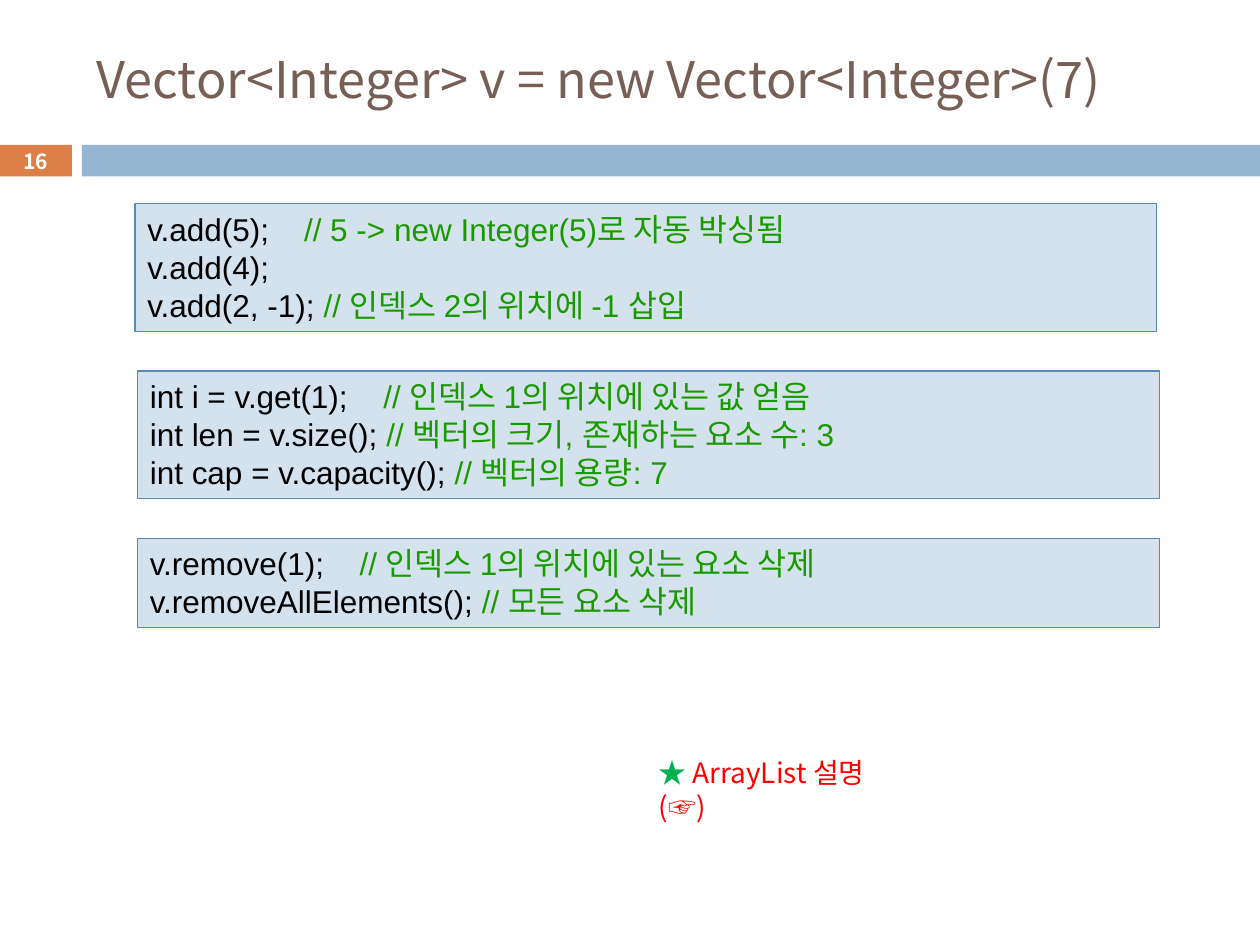
from dataclasses import dataclass

from lxml.etree import SubElement
from pptx import Presentation
from pptx.dml.color import RGBColor
from pptx.enum.shapes import MSO_SHAPE
from pptx.enum.text import MSO_ANCHOR, PP_ALIGN
from pptx.oxml.ns import qn
from pptx.shapes.autoshape import Shape
from pptx.slide import Slide
from pptx.text.text import _Paragraph as Paragraph
from pptx.util import Cm, Pt


@dataclass(frozen=True)
class Theme:
    body_font: str = "Noto Sans CJK KR"
    code_font: str = "Arial"
    title_color: str = "775F55"
    number_fill: str = "DD8047"
    bar_fill: str = "94B6D2"
    box_fill: str = "D4E2ED"
    box_line: str = "558BB8"
    code_color: str = "000000"
    comment_color: str = "1A9A00"
    star_color: str = "00B050"
    note_color: str = "FF0000"
    white: str = "FFFFFF"
    title_size: float = 28.8
    number_size: float = 11.9
    code_size: float = 18
    note_size: float = 16


@dataclass(frozen=True)
class Box:
    left: float
    top: float
    width: float
    height: float

    def lengths(self) -> tuple[Cm, Cm, Cm, Cm]:
        return Cm(self.left), Cm(self.top), Cm(self.width), Cm(self.height)


@dataclass(frozen=True)
class CodeLine:
    code: str
    comment: str = ""


@dataclass(frozen=True)
class CodeBlock:
    left: float
    tab: float
    lines: tuple[CodeLine, ...]


THEME = Theme()
NUMBER_BOX = Box(-0.02, 2.92, 1.47, 0.64)
BAR_BOX = Box(1.65, 2.92, 23.75, 0.64)
TITLE_BOX = Box(1.7, 0.64, 22.66, 1.88)
NOTE_BOX = Box(13.03, 15.11, 5.74, 0.94)
BLOCK_TOP, BLOCK_WIDTH, BLOCK_GAP = 4.11, 20.6, 0.8
LINE_HEIGHT, BLOCK_PADDING = 0.77, 0.26

BLOCKS = (
    CodeBlock(2.72, 3.16, (
        CodeLine("v.add(5);\t", "// 5 -> new Integer(5)로 자동 박싱됨"),
        CodeLine("v.add(4);"),
        CodeLine("v.add(2, -1); ", "// 인덱스 2의 위치에 -1 삽입"),
    )),
    CodeBlock(2.77, 4.71, (
        CodeLine("int i = v.get(1);\t", "// 인덱스 1의 위치에 있는 값 얻음"),
        CodeLine("int len = v.size(); ", "// 벡터의 크기, 존재하는 요소 수: 3"),
        CodeLine("int cap = v.capacity(); ", "// 벡터의 용량: 7"),
    )),
    CodeBlock(2.77, 4.23, (
        CodeLine("v.remove(1);\t", "// 인덱스 1의 위치에 있는 요소 삭제"),
        CodeLine("v.removeAllElements(); ", "// 모든 요소 삭제"),
    )),
)


def add_run(paragraph: Paragraph, text: str, size: float, color: str,
            font: str = THEME.body_font, bold: bool = False) -> None:
    run = paragraph.add_run()
    run.text = text
    run.font.size = Pt(size)
    run.font.bold = bold
    run.font.name = font
    run.font.color.rgb = RGBColor.from_string(color)
    SubElement(run.font._element, qn("a:ea"), typeface=THEME.body_font)


def add_rectangle(slide: Slide, box: Box, fill: str, line: str | None = None) -> Shape:
    shape = slide.shapes.add_shape(MSO_SHAPE.RECTANGLE, *box.lengths())
    shape.shadow.inherit = False
    shape.fill.solid()
    shape.fill.fore_color.rgb = RGBColor.from_string(fill)
    if line:
        shape.line.color.rgb = RGBColor.from_string(line)
        shape.line.width = Pt(0.75)
    else:
        shape.line.fill.background()
    return shape


def add_text_box(slide: Slide, box: Box, anchor: MSO_ANCHOR) -> Shape:
    shape = slide.shapes.add_textbox(*box.lengths())
    shape.text_frame.word_wrap = True
    shape.text_frame.vertical_anchor = anchor
    return shape


def add_tab_stop(paragraph: Paragraph, position: float) -> None:
    properties = paragraph._element.get_or_add_pPr()
    tabs = SubElement(properties, qn("a:tabLst"))
    SubElement(tabs, qn("a:tab"), pos=str(Cm(position)), algn="l")


def add_code_block(slide: Slide, block: CodeBlock, top: float) -> float:
    height = LINE_HEIGHT * len(block.lines) + BLOCK_PADDING
    shape = add_rectangle(slide, Box(block.left, top, BLOCK_WIDTH, height),
                          THEME.box_fill, THEME.box_line)
    frame = shape.text_frame
    frame.word_wrap = True
    frame.vertical_anchor = MSO_ANCHOR.TOP
    for index, line in enumerate(block.lines):
        paragraph = frame.add_paragraph() if index else frame.paragraphs[0]
        paragraph.alignment = PP_ALIGN.LEFT
        if "\t" in line.code:
            add_tab_stop(paragraph, block.tab)
        add_run(paragraph, line.code, THEME.code_size, THEME.code_color, THEME.code_font)
        if line.comment:
            add_run(paragraph, line.comment, THEME.code_size, THEME.comment_color,
                    THEME.code_font)
    return top + height + BLOCK_GAP


def add_header(slide: Slide) -> None:
    add_rectangle(slide, BAR_BOX, THEME.bar_fill)
    title = add_text_box(slide, TITLE_BOX, MSO_ANCHOR.MIDDLE)
    add_run(title.text_frame.paragraphs[0], "Vector<Integer> v = new Vector<Integer>(7)",
            THEME.title_size, THEME.title_color)
    number = add_rectangle(slide, NUMBER_BOX, THEME.number_fill)
    number.text_frame.vertical_anchor = MSO_ANCHOR.MIDDLE
    paragraph = number.text_frame.paragraphs[0]
    paragraph.alignment = PP_ALIGN.CENTER
    add_run(paragraph, "16", THEME.number_size, THEME.white, bold=True)


def add_note(slide: Slide) -> None:
    note = add_text_box(slide, NOTE_BOX, MSO_ANCHOR.TOP)
    note.text_frame.margin_right = Cm(0.7)
    paragraph = note.text_frame.paragraphs[0]
    add_run(paragraph, "★ ", THEME.note_size, THEME.star_color)
    add_run(paragraph, "ArrayList 설명(☞)", THEME.note_size, THEME.note_color)


def main() -> None:
    presentation = Presentation()
    presentation.slide_width, presentation.slide_height = Cm(25.4), Cm(19.05)
    slide = presentation.slides.add_slide(presentation.slide_layouts[6])
    add_header(slide)
    top = BLOCK_TOP
    for block in BLOCKS:
        top = add_code_block(slide, block, top)
    add_note(slide)
    presentation.save("out.pptx")


if __name__ == "__main__":
    main()
